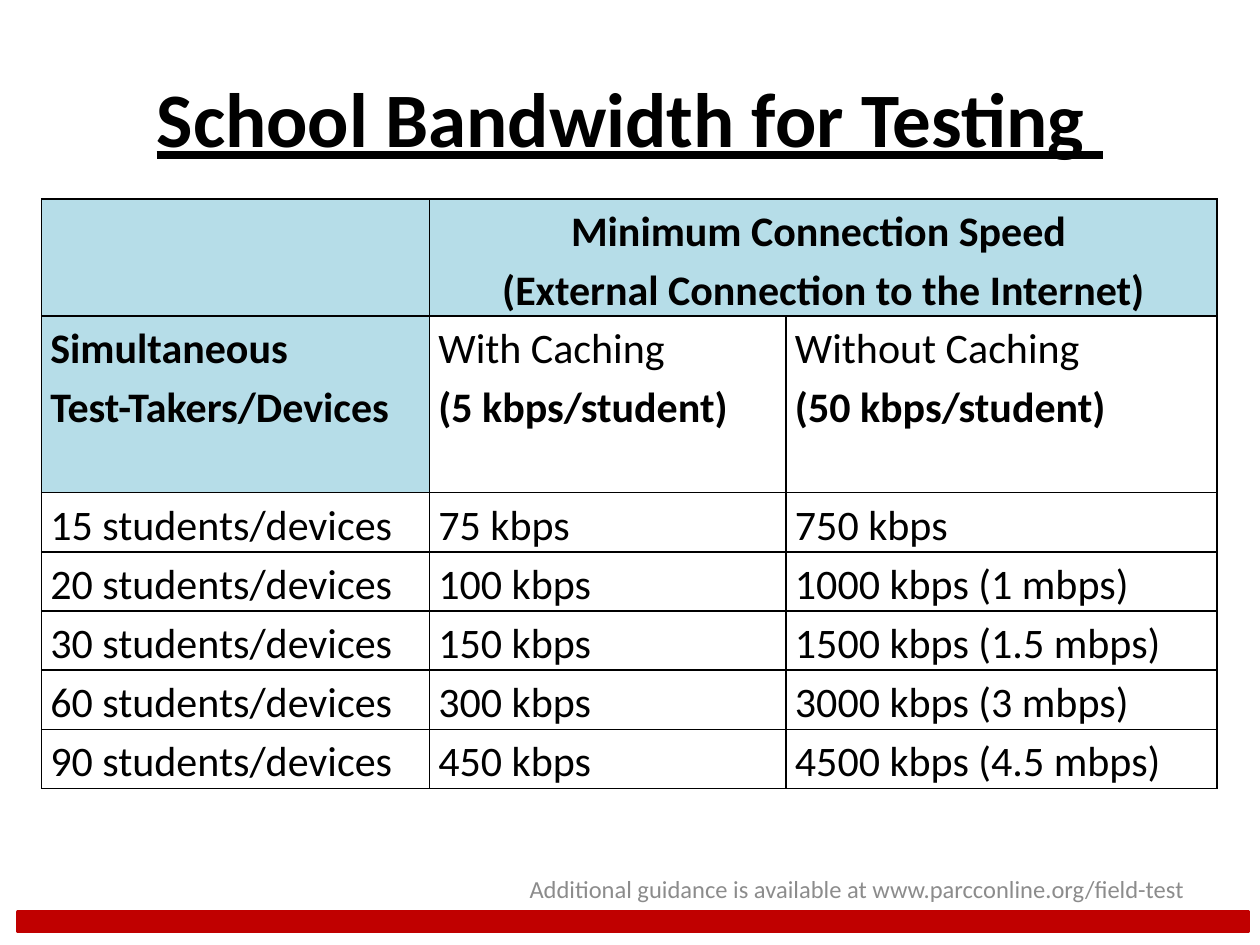
from lxml import etree
from pptx import Presentation
from pptx.dml.color import RGBColor
from pptx.enum.shapes import MSO_SHAPE
from pptx.enum.text import MSO_ANCHOR, PP_ALIGN
from pptx.oxml.ns import qn
from pptx.util import Inches, Pt

LEFT, CENTER, RIGHT = PP_ALIGN.LEFT, PP_ALIGN.CENTER, PP_ALIGN.RIGHT
MIDDLE = MSO_ANCHOR.MIDDLE
RECTANGLE = MSO_SHAPE.RECTANGLE

FONT = "Calibri"
COLORS = {"text": "000000", "note": "8C8C8C", "header": "B6DDE8", "bar": "C00000"}

TITLE = "School Bandwidth for Testing "
NOTE = "Additional guidance is available at www.parcconline.org/field-test"
SPEED_HEADING = ["Minimum Connection Speed ", "(External Connection to the Internet)"]
COLUMN_HEADINGS = [
    ["Simultaneous", "Test-Takers/Devices"],
    ["With Caching", "(5 kbps/student)"],
    ["Without Caching", "(50 kbps/student)"],
]
SPEEDS = [
    (15, "75 kbps", "750 kbps"),
    (20, "100 kbps", "1000 kbps (1 mbps)"),
    (30, "150 kbps", "1500 kbps (1.5 mbps)"),
    (60, "300 kbps", "3000 kbps (3 mbps)"),
    (90, "450 kbps", "4500 kbps (4.5 mbps)"),
]
COLUMN_WIDTHS = [3.08, 2.83, 3.42]
ROW_HEIGHTS = [0.93, 1.4] + [0.47] * len(SPEEDS)


def color(name):
    return RGBColor.from_string(COLORS[name])


def write(frame, lines, size=24, ink="text", bold=(False,), underline=False,
          align=LEFT, spacing=None):
    """Write one paragraph per line; the last bold value serves all further lines."""
    frame.word_wrap = True
    for index, line in enumerate(lines):
        para = frame.paragraphs[0] if index == 0 else frame.add_paragraph()
        para.alignment = align
        para.line_spacing = spacing
        span = para.add_run()
        span.text = line
        span.font.name = FONT
        span.font.size = Pt(size)
        span.font.bold = bold[min(index, len(bold) - 1)]
        span.font.underline = underline
        span.font.color.rgb = color(ink)


def add_text(slide, place, text, **style):
    box = slide.shapes.add_textbox(*map(Inches, place))
    box.text_frame.vertical_anchor = MIDDLE
    write(box.text_frame, [text], **style)


def add_borders(cell):
    properties = cell._tc.get_or_add_tcPr()
    for position, side in enumerate(("lnL", "lnR", "lnT", "lnB")):
        line = etree.Element(qn(f"a:{side}"), w=str(Pt(1)))
        fill = etree.SubElement(line, qn("a:solidFill"))
        etree.SubElement(fill, qn("a:srgbClr"), val=COLORS["text"])
        properties.insert(position, line)


def add_speed_table(slide):
    place = (0.33, 1.58, sum(COLUMN_WIDTHS), sum(ROW_HEIGHTS))
    table = slide.shapes.add_table(
        len(ROW_HEIGHTS), len(COLUMN_WIDTHS), *map(Inches, place)).table
    table.first_row = table.horz_banding = False
    for column, width in zip(table.columns, COLUMN_WIDTHS):
        column.width = Inches(width)
    for row, height in zip(table.rows, ROW_HEIGHTS):
        row.height = Inches(height)

    for row_index, row in enumerate(table.rows):
        for column_index, cell in enumerate(row.cells):
            cell.margin_left = cell.margin_right = Inches(0.07)
            cell.margin_top = cell.margin_bottom = 0
            if row_index == 0 or (row_index, column_index) == (1, 0):
                cell.fill.solid()
                cell.fill.fore_color.rgb = color("header")
            else:
                cell.fill.background()
            add_borders(cell)

    speed_cell = table.cell(0, 1)
    speed_cell.merge(table.cell(0, 2))
    write(speed_cell.text_frame, SPEED_HEADING, bold=(True,), align=CENTER, spacing=1.15)
    for index, lines in enumerate(COLUMN_HEADINGS):
        write(table.cell(1, index).text_frame, lines, bold=(index == 0, True), spacing=1.15)
    for row_index, (count, *speeds) in enumerate(SPEEDS, start=2):
        for index, text in enumerate([f"{count} students/devices", *speeds]):
            write(table.cell(row_index, index).text_frame, [text], spacing=1.15)


def main():
    deck = Presentation()
    deck.slide_width, deck.slide_height = Inches(10), Inches(7.5)
    slide = deck.slides.add_slide(deck.slide_layouts[6])

    bar = slide.shapes.add_shape(RECTANGLE, *map(Inches, (0.14, 7.24, 9.77, 0.15)))
    bar.shadow.inherit = False
    bar.fill.solid()
    bar.fill.fore_color.rgb = bar.line.color.rgb = color("bar")
    bar.line.width = Pt(2)

    add_text(slide, (0.5, 0.3, 9, 1.25), TITLE, size=44, bold=(True,),
             underline=True, align=CENTER)
    add_text(slide, (4, 6.75, 5.5, 0.6), NOTE, size=14, ink="note", align=RIGHT)
    add_speed_table(slide)
    deck.save("out.pptx")


if __name__ == "__main__":
    main()
